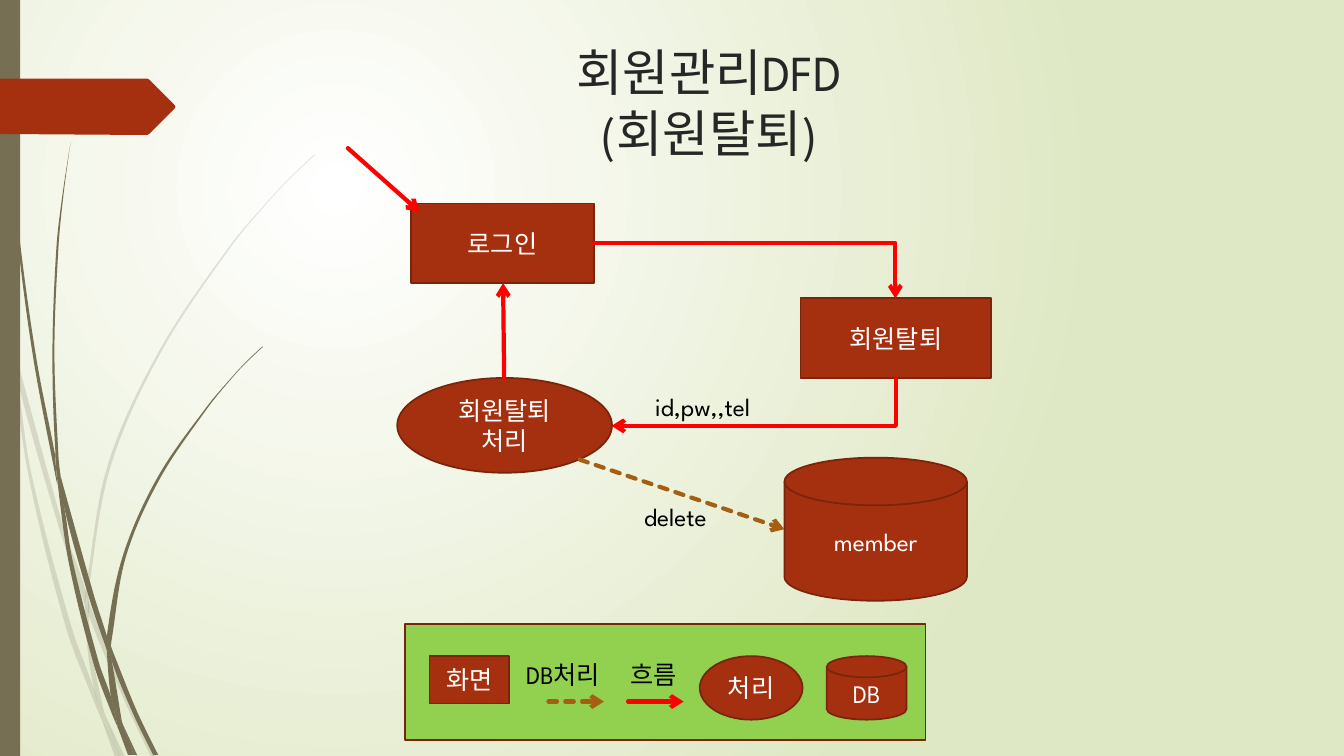
from dataclasses import dataclass
from math import dist

from pptx import Presentation
from pptx.dml.color import RGBColor
from pptx.enum.dml import MSO_LINE
from pptx.enum.shapes import MSO_CONNECTOR, MSO_SHAPE
from pptx.enum.text import MSO_ANCHOR, MSO_AUTO_SIZE, PP_ALIGN
from pptx.oxml import parse_xml
from pptx.oxml.ns import nsdecls, qn
from pptx.util import Inches, Pt

SCREEN = MSO_SHAPE.RECTANGLE
PROCESS = MSO_SHAPE.OVAL
DATABASE = MSO_SHAPE.FLOWCHART_MAGNETIC_DISK
STRAIGHT = MSO_CONNECTOR.STRAIGHT
DASHED = MSO_LINE.SQUARE_DOT
TOP, MIDDLE = MSO_ANCHOR.TOP, MSO_ANCHOR.MIDDLE
CENTER, LEFT = PP_ALIGN.CENTER, PP_ALIGN.LEFT


@dataclass(frozen=True)
class Theme:
    font: str = "League Spartan"
    title_size: float = 36
    body_size: float = 18
    outline: float = 1.25
    arrow: float = 3
    glow: str = "FFFFFF"
    backdrop: str = "DFE8C4"
    stem: str = "766F54"
    node: str = "A53010"
    node_edge: str = "7A240C"
    legend: str = "92D050"
    flow: str = "FF0000"
    query: str = "A65E12"
    title: str = "262626"
    label: str = "000000"
    on_node: str = "FFFFFF"


THEME = Theme()

# Corner and curve points of each piece of grass
PALE_GRASS = [
    [(.11, 3.5), (.09, 3.22), (0, 2.82), (0, 2.99), (.1, 3.44)],
    [(.58, 5.22), (.84, 5.99), (.85, 5.86), (.62, 5.2), (.14, 3.45), (.17, 3.76)],
    [(.92, 6.07), (.88, 5.96), (.88, 6.1), (1.23, 6.94), (1.5, 7.51), (1.55, 7.51), (1.27, 6.92)],
    [(1.19, 7.51), (1.24, 7.51), (1.05, 7.11)],
    [(.93, 6.83), (.7, 6.19), (.31, 4.69), (.17, 3.76), (.11, 3.5), (.28, 4.7), (.65, 6.21),
     (.92, 6.93), (1.01, 7.14), (.99, 7.07)],
    [(.84, 5.99), (.87, 6.46), (.93, 6.83), (.96, 6.92), (1.05, 7.11), (1.03, 7.06),
     (.91, 6.46), (.88, 6.1), (.88, 6.08)],
    [(.88, 5.84), (1.1, 4.62), (1.6, 3.49), (2.29, 2.45), (2.68, 1.98), (2.9, 1.75),
     (3.12, 1.54), (3.12, 1.53), (2.89, 1.75), (2.68, 1.97), (2.28, 2.44), (1.58, 3.48),
     (1.07, 4.61), (.85, 5.84), (.85, 5.86), (.88, 5.96)],
    [(1.01, 7.14), (1.14, 7.51), (1.19, 7.51)],
    [(.88, 6.08), (.88, 6.1), (.88, 5.96), (.85, 5.86), (.84, 5.99)],
    [(.96, 6.92), (.93, 6.83), (.99, 7.07), (1.01, 7.14), (1.19, 7.51), (1.05, 7.11)],
]
DARK_GRASS = [
    [(.07, 1.1), (.17, 2.33), (.33, 3.55), (.56, 4.77), (.57, 4.81), (.55, 4.57), (.55, 4.53),
     (.36, 3.55), (.19, 2.32), (.08, 1.09), (.05, .48), (.04, 0), (.03, 0), (.04, .48)],
    [(.88, 5.92), (1.06, 6.45), (1.06, 6.33), (1.06, 6.31), (.93, 5.9), (.6, 4.72), (.64, 5.05)],
    [(1.13, 6.49), (1.1, 6.41), (1.11, 6.56), (1.32, 7.08), (1.52, 7.49), (1.57, 7.49),
     (1.36, 7.06)],
    [(1.1, 6.91), (.98, 6.57), (.72, 5.56), (.64, 5.05), (.57, 4.77), (.68, 5.57), (.93, 6.59),
     (1.11, 7.08), (1.17, 7.22), (1.16, 7.17)],
    [(.6, 4.72), (.58, 4.53), (.54, 3.49), (.58, 2.45), (.63, 1.93), (.7, 1.41), (.62, 1.93),
     (.56, 2.45), (.52, 3.49), (.55, 4.49)],
    [(1.33, 7.49), (1.36, 7.49), (1.22, 7.19)],
    [(.57, 4.77), (.64, 5.05), (.6, 4.72), (.55, 4.49), (.55, 4.53)],
    [(1.11, 6.33), (1.25, 5.52), (1.58, 4.76), (2.05, 4.06), (2.31, 3.74), (2.45, 3.59),
     (2.61, 3.44), (2.6, 3.44), (2.45, 3.58), (2.31, 3.73), (2.04, 4.05), (1.56, 4.74),
     (1.22, 5.51), (1.06, 6.31), (1.1, 6.41)],
    [(1.17, 7.22), (1.27, 7.49), (1.31, 7.49)],
    [(1.06, 6.45), (1.1, 6.91), (1.16, 7.06), (1.22, 7.19), (1.21, 7.16), (1.11, 6.56),
     (1.09, 6.51)],
    [(1.06, 6.45), (1.09, 6.51), (1.11, 6.56), (1.1, 6.41), (1.06, 6.31), (1.06, 6.33)],
    [(1.16, 7.06), (1.1, 6.91), (1.16, 7.17), (1.17, 7.22), (1.3, 7.49), (1.33, 7.49),
     (1.22, 7.19)],
]
TAG = [(0, .78), (1.46, .78), (1.48, .79), (1.73, 1.04), (1.74, 1.06), (1.73, 1.08),
       (1.48, 1.33), (1.46, 1.34), (0, 1.33)]


def paint(shape, color, edge=None):
    shape.shadow.inherit = False
    shape.fill.solid()
    shape.fill.fore_color.rgb = RGBColor.from_string(color)
    if edge:
        shape.line.color.rgb = RGBColor.from_string(edge)
        shape.line.width = Pt(THEME.outline)
    else:
        shape.line.fill.background()


def write(shape, lines, color, size=THEME.body_size, align=CENTER):
    frame = shape.text_frame
    for index, line in enumerate(lines):
        para = frame.paragraphs[0] if index == 0 else frame.add_paragraph()
        para.alignment = align
        span = para.add_run()
        span.text = line
        span.font.name = THEME.font
        span.font.size = Pt(size)
        span.font.color.rgb = RGBColor.from_string(color)


def add_node(shapes, kind, box, *lines, color=THEME.node):
    node = shapes.add_shape(kind, *map(Inches, box))
    paint(node, color, THEME.node_edge)
    node.text_frame.vertical_anchor = MIDDLE
    write(node, lines, THEME.on_node)


def add_label(shapes, box, text, wrap=False):
    label = shapes.add_textbox(*map(Inches, box))
    label.text_frame.word_wrap = wrap
    label.text_frame.auto_size = MSO_AUTO_SIZE.SHAPE_TO_FIT_TEXT
    write(label, [text], THEME.label, align=LEFT)


def add_arrow(shapes, start, end, color=THEME.flow, dashed=False):
    arrow = shapes.add_connector(STRAIGHT, *map(Inches, (*start, *end)))
    arrow.line.color.rgb = RGBColor.from_string(color)
    arrow.line.width = Pt(THEME.arrow)
    if dashed:
        arrow.line.dash_style = DASHED
    line = arrow.line._get_or_add_ln()
    line.set("cap", "rnd")
    line.append(parse_xml(f'<a:tailEnd {nsdecls("a")} type="arrow"/>'))
    arrow._element.spPr.append(parse_xml(f'<a:effectLst {nsdecls("a")}/>'))
    return arrow


def add_bent_arrow(shapes, box, quarter_turns=0):
    left, top, width, height = box
    arrow = add_arrow(shapes, (left, top), (left + width, top + height))
    properties = arrow._element.spPr
    properties.find(qn("a:prstGeom")).set("prst", "bentConnector2")
    properties.find(qn("a:xfrm")).set("rot", str(quarter_turns * 90 * 60000))


def add_outline(shapes, points, close=True):
    corners = [(Inches(x), Inches(y)) for x, y in points]
    builder = shapes.build_freeform(*corners[0])
    builder.add_line_segments(corners[1:], close=close)
    outline = builder.convert_to_shape()
    paint(outline, THEME.stem)
    return outline


def curve_points(points):
    """Closed run of cubic curves: start, then two handles and an end each time."""
    def handle(before, point, after, length):
        (ux, uy), (vx, vy) = [(b[0] - a[0], b[1] - a[1])
                              for a, b in ((before, point), (point, after))]
        if ux * vx + uy * vy < 0.8 * dist(before, point) * dist(point, after):
            return point
        scale = length / 3 / dist(before, after)
        return point[0] + (ux + vx) * scale, point[1] + (uy + vy) * scale

    run, count = [points[0]], len(points)
    for index, start in enumerate(points):
        end, later = points[(index + 1) % count], points[(index + 2) % count]
        length = dist(start, end)
        run += [handle(points[index - 1], start, end, length),
                handle(later, end, start, length), end]
    return run


def add_grass(shapes, points, alpha=None):
    blade = add_outline(shapes, curve_points(points), close=False)
    segments = list(blade._element.spPr.iter(qn("a:lnTo")))
    for first in range(0, len(segments), 3):
        curve = parse_xml(f'<a:cubicBezTo {nsdecls("a")}/>')
        segments[first].addprevious(curve)
        for segment in segments[first:first + 3]:
            curve.append(segment[0])
            segment.getparent().remove(segment)
    if alpha:
        color = blade._element.spPr.find(qn("a:solidFill"))[0]
        color.append(parse_xml(f'<a:alpha {nsdecls("a")} val="{alpha * 1000}"/>'))


def draw_backdrop(page, height):
    page._element.cSld.insert(0, parse_xml(
        f'<p:bg {nsdecls("p", "a")}><p:bgPr><a:gradFill rotWithShape="1"><a:gsLst>'
        f'<a:gs pos="0"><a:srgbClr val="{THEME.glow}"/></a:gs>'
        f'<a:gs pos="100000"><a:srgbClr val="{THEME.backdrop}"/></a:gs></a:gsLst>'
        '<a:path path="circle"><a:fillToRect l="50000" t="50000" r="100000" b="100000"/>'
        '</a:path></a:gradFill><a:effectLst/></p:bgPr></p:bg>'))
    for pieces, alpha in ((PALE_GRASS, 20), (DARK_GRASS, None)):
        for points in pieces:
            add_grass(page.shapes, points, alpha)
    paint(page.shapes.add_shape(SCREEN, 0, 0, Inches(0.2), Inches(height)), THEME.stem)
    paint(add_outline(page.shapes, TAG), THEME.node)


def draw_title(page, box):
    title = page.shapes.add_textbox(*map(Inches, box))
    title.text_frame.word_wrap = True
    title.text_frame.vertical_anchor = TOP
    write(title, ["회원관리DFD", "(회원탈퇴)"], THEME.title, THEME.title_size)


def draw_flow(page, left, top):
    shapes = page.shapes

    def at(x, y, *size):
        return (left + x, top + y, *size)

    # Screens, process and table
    add_node(shapes, SCREEN, at(0.63, 0.55, 1.81, 0.79), "로그인")
    add_node(shapes, DATABASE, at(4.33, 3.07, 1.81, 1.42), "member")
    add_node(shapes, PROCESS, at(0.49, 2.28, 2.13, 0.94), "회원탈퇴", "처리")
    add_node(shapes, SCREEN, at(4.49, 1.49, 1.89, 0.79), "회원탈퇴")
    # Arrows
    add_arrow(shapes, at(0, 0), at(0.71, 0.63))
    add_bent_arrow(shapes, at(2.44, 0.94, 2.99, 0.55))
    add_bent_arrow(shapes, at(3.79, 1.11, 0.47, 2.82), quarter_turns=1)
    add_arrow(shapes, at(1.55, 2.28), at(1.54, 1.34))
    add_arrow(shapes, at(2.3, 3.09), at(4.33, 3.78), THEME.query, dashed=True)
    # Arrow labels
    add_label(shapes, at(2.84, 3.45, 0.99, 0.4), "delete")
    add_label(shapes, at(2.95, 2.36, 1.3, 0.4), "id,pw,,tel")


def draw_legend(page, left, top, width, height):
    shapes = page.shapes.add_group_shape().shapes
    row = top + 0.32
    add_node(shapes, SCREEN, (left, top, width, height), color=THEME.legend)
    add_node(shapes, SCREEN, (left + 0.24, row, 0.79, 0.47), "화면")
    add_node(shapes, DATABASE, (left + 4.18, row, 0.79, 0.63), "DB")
    add_node(shapes, PROCESS, (left + 2.92, row, 1.02, 0.63), "처리")
    add_label(shapes, (left + 2.13, top + 0.3, 0.71, 0.4), "흐름", wrap=True)
    add_label(shapes, (left + 1.1, top + 0.3, 1.02, 0.4), "DB처리")
    for x, color, dashed in ((2.21, THEME.flow, False), (1.42, THEME.query, True)):
        add_arrow(shapes, (left + x, top + 0.77), (left + x + 0.55, top + 0.77), color, dashed)


def main():
    deck = Presentation()
    deck.slide_width, deck.slide_height = Inches(13.33), Inches(7.5)
    page = deck.slides.add_slide(deck.slide_layouts[6])
    draw_backdrop(page, 7.5)
    draw_title(page, (2.16, 0.36, 9.75, 1.4))
    draw_flow(page, 3.45, 1.47)
    draw_legend(page, 4.02, 6.19, 5.16, 1.15)
    deck.save("out.pptx")


if __name__ == "__main__":
    main()
